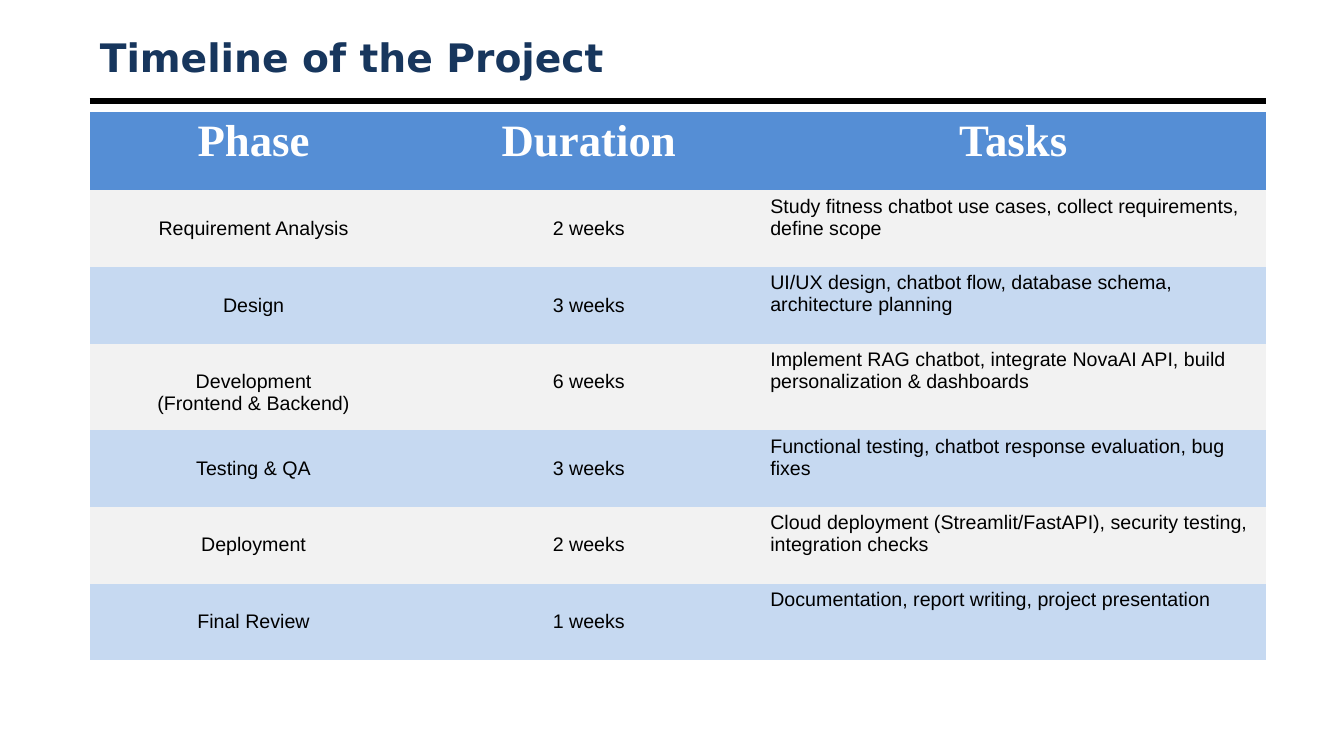
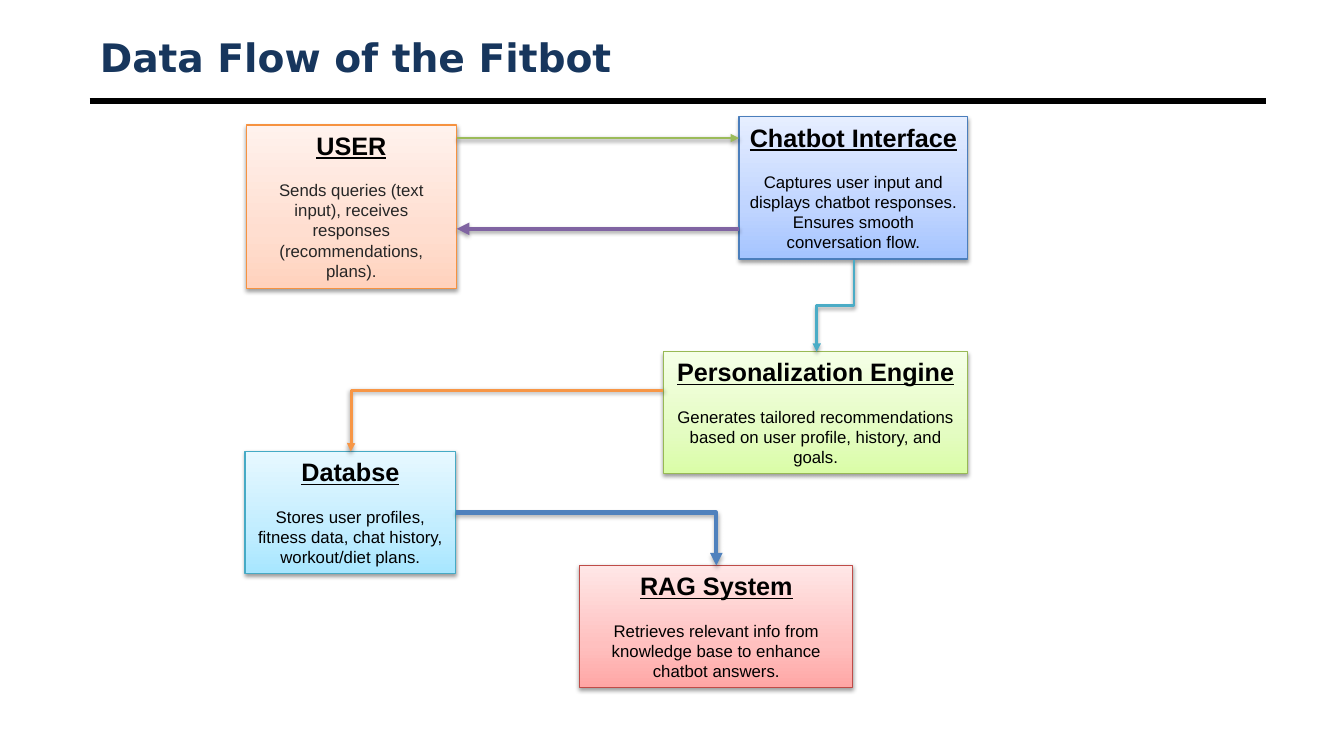
from lxml import etree
from pptx import Presentation
from pptx.dml.color import RGBColor
from pptx.enum import shapes, text
from pptx.oxml import parse_xml
from pptx.oxml.ns import nsdecls, qn
from pptx.util import Inches, Pt

COLORS = {
    "title": "17365D", "rule": "000000", "ink": "000000", "soft_ink": "262626",
    "header": "558ED5", "header_text": "FFFFFF",
    "row_odd": "F2F2F2", "row_even": "C6D9F1",
    "teal": "4BACC6", "blue": "4F81BD", "orange": "F79646",
    "green": "9BBB59", "purple": "8064A2",
}
FONTS = {"title": "DejaVu Sans", "header": "Times New Roman", "body": "Arial"}
LEFT, WIDTH = 0.89, 11.67
NO_GRID_STYLE = "{2D5ABB26-0587-4C30-8999-92F81FD0307C}"

HEADINGS = ["Phase", "Duration", "Tasks"]
PHASES = [
    (["Requirement Analysis"], "2 weeks",
     "Study fitness chatbot use cases, collect requirements, define scope"),
    (["Design"], "3 weeks",
     "UI/UX design, chatbot flow, database schema, architecture planning"),
    (["Development", "(Frontend & Backend)"], "6 weeks",
     "Implement RAG chatbot, integrate NovaAI API, build personalization & dashboards"),
    (["Testing & QA"], "3 weeks",
     "Functional testing, chatbot response evaluation, bug fixes"),
    (["Deployment"], "2 weeks",
     "Cloud deployment (Streamlit/FastAPI), security testing, integration checks"),
    (["Final Review"], "1 weeks",
     "Documentation, report writing, project presentation"),
]

# name: (box, gradient from bottom to top, outline, heading, description, text colour)
NODES = {
    "user": ((2.44, 1.24, 2.09, 1.62), ("FFD2BD", "FFDED0", "FFF2ED"), "F69240", "USER",
             "Sends queries (text input), receives responses (recommendations, plans).",
             "soft_ink"),
    "chatbot": ((7.33, 1.16, 2.27, 1.41), ("A4C4FF", "BFD4FF", "E6EEFF"), "4B7EBC",
                "Chatbot Interface",
                "Captures user input and displays chatbot responses. "
                "Ensures smooth conversation flow.", "ink"),
    "engine": ((6.58, 3.49, 3.02, 1.21), ("DAFDA7", "E4FCC2", "F5FFE7"), "98B955",
               "Personalization Engine",
               "Generates tailored recommendations based on user profile, history, and goals.",
               "ink"),
    "database": ((2.43, 4.48, 2.09, 1.21), ("A7E6FF", "C1EDFF", "E7F8FF"), "46AAC5",
                 "Databse",
                 "Stores user profiles, fitness data, chat history, workout/diet plans.",
                 "ink"),
    "rag": ((5.75, 5.61, 2.71, 1.21), ("FFA6A5", "FFC0BF", "FFE7E7"), "BF4C48",
            "RAG System",
            "Retrieves relevant info from knowledge base to enhance chatbot answers.",
            "ink"),
}


def rgb(name):
    return RGBColor.from_string(COLORS.get(name, name))


def add_span(para, words, size, color, font="body", bold=False, underline=False):
    span = para.add_run()
    span.text = words
    span.font.size = Pt(size)
    span.font.name = FONTS[font]
    span.font.color.rgb = rgb(color)
    span.font.bold = bold
    span.font.underline = underline


def set_shadow(item, opacity=None, distance=1.6):
    """Replace the theme shadow by none, or by a soft one straight below."""
    properties = item._element.spPr
    for old in properties.findall(qn("a:effectLst")):
        properties.remove(old)
    effects = etree.SubElement(properties, qn("a:effectLst"))
    if opacity:
        effects.append(parse_xml(
            f'<a:outerShdw {nsdecls("a")} blurRad="{Pt(3.1)}" dist="{Pt(distance)}" '
            f'dir="5400000" rotWithShape="0"><a:srgbClr val="000000">'
            f'<a:alpha val="{opacity * 1000}"/></a:srgbClr></a:outerShdw>'))


def add_line(page, start, end, color, weight, kind=shapes.MSO_CONNECTOR.STRAIGHT):
    line = page.shapes.add_connector(kind, *(Inches(v) for v in (*start, *end)))
    line.line.color.rgb = rgb(color)
    line.line.width = Pt(weight)
    set_shadow(line)
    return line


def add_arrow(page, start, end, color, weight, kind=shapes.MSO_CONNECTOR.STRAIGHT):
    arrow = add_line(page, start, end, color, weight, kind)
    etree.SubElement(arrow.line._get_or_add_ln(), qn("a:tailEnd"), type="triangle")
    if weight > 2:
        set_shadow(arrow, 35, 1.8)
    else:
        set_shadow(arrow, 38)
    return arrow


def add_page(deck, title):
    """Title-only slide with the heading and the rule below it."""
    page = deck.slides.add_slide(deck.slide_layouts[5])
    holder = page.shapes.title
    holder.left, holder.top = Inches(LEFT), Inches(0.3)
    holder.width, holder.height = Inches(WIDTH), Inches(0.53)
    frame = holder.text_frame
    frame.auto_size = text.MSO_AUTO_SIZE.NONE
    frame.vertical_anchor = text.MSO_ANCHOR.MIDDLE
    para = frame.paragraphs[0]
    para.alignment = text.PP_ALIGN.LEFT
    add_span(para, title, 28, "title", "title", bold=True)
    add_line(page, (LEFT, 1), (LEFT + WIDTH, 1), "rule", 4.5)
    return page


def fill_cell(cell, lines, fill, size, color, font="body", bold=False,
              centered=True, top=0.05):
    cell.fill.solid()
    cell.fill.fore_color.rgb = rgb(fill)
    cell.margin_top = Inches(top)
    frame = cell.text_frame
    for index, words in enumerate(lines):
        para = frame.add_paragraph() if index else frame.paragraphs[0]
        para.alignment = text.PP_ALIGN.CENTER if centered else text.PP_ALIGN.LEFT
        add_span(para, words, size, color, font, bold)


def add_timeline(page, left, top):
    widths = [3.25, 3.4, 5.02]
    heights = [0.78] + [0.86 if len(phase) > 1 else 0.76 for phase, *_ in PHASES]
    table = page.shapes.add_table(
        len(heights), len(widths), Inches(left), Inches(top),
        Inches(sum(widths)), Inches(sum(heights))).table
    table._tbl.tblPr.find(qn("a:tableStyleId")).text = NO_GRID_STYLE
    for column, width in zip(table.columns, widths):
        column.width = Inches(width)
    for row, height in zip(table.rows, heights):
        row.height = Inches(height)

    # Header row
    for column, heading in enumerate(HEADINGS):
        fill_cell(table.cell(0, column), [heading], "header", 32, "header_text",
                  "header", bold=True)

    # Phases: the first two columns start one line lower
    for row, (phase, duration, tasks) in enumerate(PHASES, 1):
        fill = "row_odd" if row % 2 else "row_even"
        for column, lines in enumerate((phase, [duration])):
            fill_cell(table.cell(row, column), lines, fill, 14, "ink", top=0.27)
        fill_cell(table.cell(row, 2), [tasks], fill, 14, "ink", centered=False)


def add_node(page, box, gradient, outline, heading, description, color):
    node = page.shapes.add_shape(
        shapes.MSO_SHAPE.RECTANGLE, *(Inches(v) for v in box))
    node.fill.gradient()
    old_fill = node._element.spPr.find(qn("a:gradFill"))
    stops = "".join(
        f'<a:gs pos="{place * 1000}"><a:srgbClr val="{shade}"/></a:gs>'
        for place, shade in zip((0, 35, 100), gradient))
    old_fill.getparent().replace(old_fill, parse_xml(
        f'<a:gradFill {nsdecls("a")} rotWithShape="1"><a:gsLst>{stops}</a:gsLst>'
        f'<a:lin ang="16200000" scaled="1"/></a:gradFill>'))
    node.line.color.rgb = rgb(outline)
    node.line.width = Pt(0.75)
    set_shadow(node, 38)

    frame = node.text_frame
    frame.word_wrap = True
    frame.auto_size = text.MSO_AUTO_SIZE.SHAPE_TO_FIT_TEXT
    frame.vertical_anchor = text.MSO_ANCHOR.TOP
    title, body = frame.paragraphs[0], frame.add_paragraph()
    title.alignment = body.alignment = text.PP_ALIGN.CENTER
    add_span(title, heading, 18, "ink", bold=True, underline=True)
    body.space_before = Pt(14)
    add_span(body, description, 12, color)
    return node


def add_flow(page):
    nodes = {name: add_node(page, *parts) for name, parts in NODES.items()}
    elbow = shapes.MSO_CONNECTOR.ELBOW

    # Exchange between user and chatbot
    add_arrow(page, (4.53, 1.37), (7.33, 1.37), "green", 2)
    add_arrow(page, (7.33, 2.27), (4.53, 2.27), "purple", 3)

    # Chatbot down to engine: a horizontal elbow turned by a quarter
    down = add_arrow(page, (8.47, 2.58), (8.09, 3.49), "teal", 2, elbow)
    down.begin_connect(nodes["chatbot"], 2)
    down.end_connect(nodes["engine"], 0)
    down.left, down.top = Inches(7.83), Inches(2.85)
    down.width, down.height = Inches(0.91), Inches(0.37)
    frame = down._element.spPr.find(qn("a:xfrm"))
    frame.attrib.pop("flipH", None)
    frame.set("rot", "5400000")

    # Engine to database: the bend sits at the far end
    store = add_arrow(page, (6.58, 3.87), (3.48, 4.48), "orange", 2, elbow)
    guides = store._element.spPr.find(qn("a:prstGeom")).get_or_add_avLst()
    etree.SubElement(guides, qn("a:gd"), name="adj1", fmla="val 99900")

    # Database to RAG system: a single bend
    fetch = add_arrow(page, (4.52, 5.09), (7.11, 5.61), "blue", 3, elbow)
    fetch.begin_connect(nodes["database"], 3)
    fetch.end_connect(nodes["rag"], 0)
    fetch._element.spPr.find(qn("a:prstGeom")).set("prst", "bentConnector2")


def main():
    deck = Presentation()
    deck.slide_width, deck.slide_height = Inches(13.33), Inches(7.5)
    add_timeline(add_page(deck, "Timeline of the Project"), LEFT, 1.11)
    add_flow(add_page(deck, "Data Flow of the Fitbot"))
    deck.save("out.pptx")


if __name__ == "__main__":
    main()
